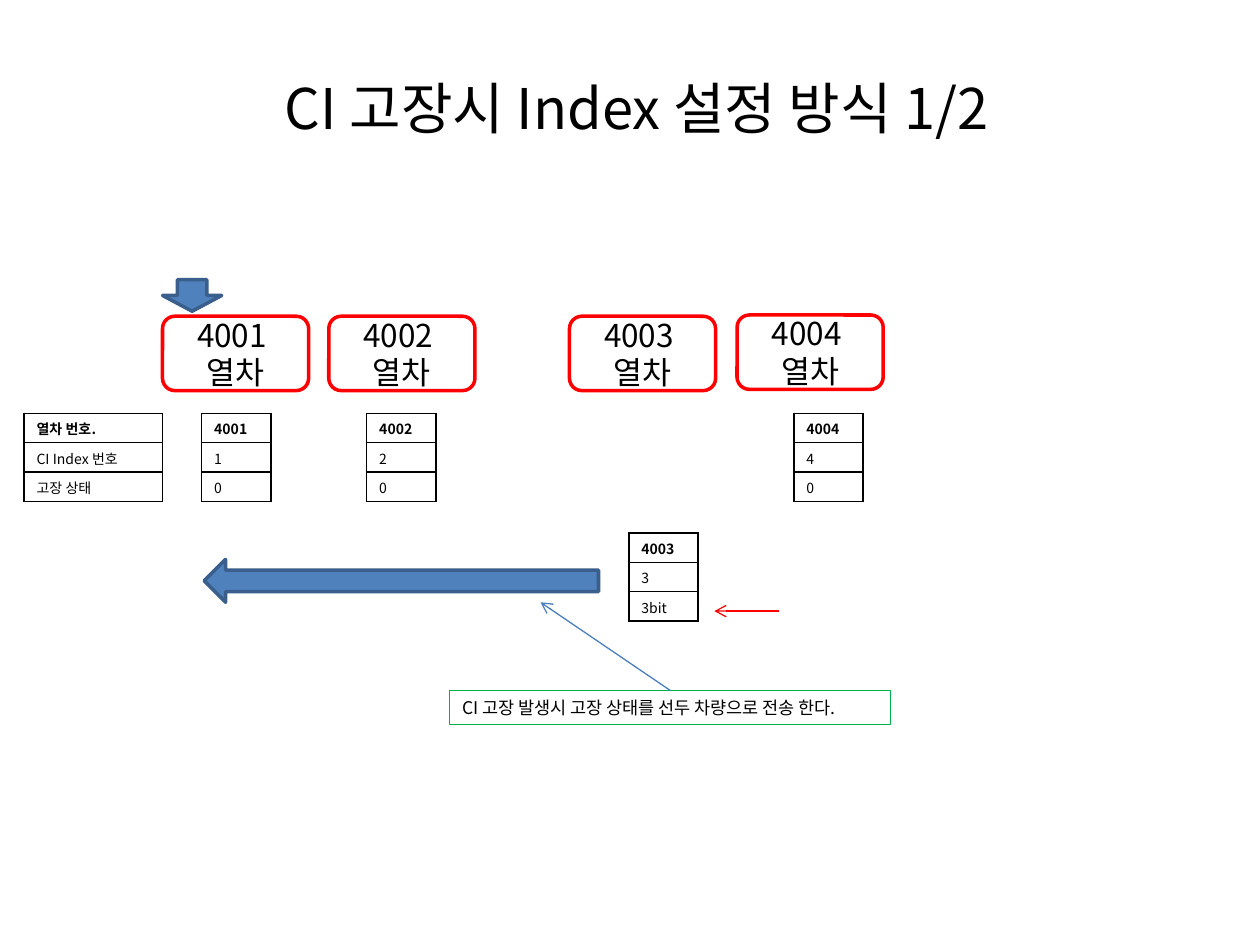
import pptx
import pptx.dml.color
import pptx.enum.shapes
import pptx.enum.text
import pptx.oxml
import pptx.oxml.ns
import pptx.util
from pptx.util import Inches

RGBColor = pptx.dml.color.RGBColor
MSO_SHAPE = pptx.enum.shapes.MSO_SHAPE
PP_ALIGN = pptx.enum.text.PP_ALIGN
MSO_ANCHOR = pptx.enum.text.MSO_ANCHOR
FIT_TEXT = pptx.enum.text.MSO_AUTO_SIZE.SHAPE_TO_FIT_TEXT

BLACK = RGBColor(0x00, 0x00, 0x00)
RED = RGBColor(0xFF, 0x00, 0x00)
GREEN = RGBColor(0x00, 0xB0, 0x50)
BLUE = RGBColor(0x4F, 0x81, 0xBD)
DARK_BLUE = RGBColor(0x3A, 0x5F, 0x8C)
LINE_BLUE = RGBColor(0x4B, 0x7E, 0xBC)
FONT = "Noto Sans CJK KR"

TRAINS = [("4001 ", 1.29, 2.51), ("4002 ", 2.61, 2.51),
          ("4003 ", 4.52, 2.51), ("4004 ", 5.85, 2.5)]
STATUS_TABLES = [
    (["열차 번호.", "CI Index 번호", "고장 상태"], 0.19, 3.28, 1.1),
    (["4001", "1", "0"], 1.6, 3.28, 0.55),
    (["4002", "2", "0"], 2.91, 3.28, 0.55),
    (["4003", "3", "3bit"], 4.99, 4.23, 0.55),
    (["4004", "4", "0"], 6.3, 3.28, 0.55),
]
TABLE_HEIGHT = 0.7


def set_attributes(target, values):
    for name, value in values.items():
        setattr(target, name, value)


def add_xml(parent, xml):
    """Append an element written with the a: prefix."""
    namespace = pptx.oxml.ns.nsdecls("a")
    parent.append(pptx.oxml.parse_xml(xml.replace(" ", f" {namespace} ", 1)))


def write_text(frame, lines, size, alignment=PP_ALIGN.LEFT, bold=False):
    for index, line in enumerate(lines):
        paragraph = frame.add_paragraph() if index else frame.paragraphs[0]
        paragraph.alignment = alignment
        run = paragraph.add_run()
        run.text = line
        set_attributes(run.font, {"name": FONT, "size": pptx.util.Pt(size), "bold": bold})
        run.font.color.rgb = BLACK
        add_xml(run.font._element, f'<a:ea typeface="{FONT}"/>')


def add_box(slide, kind, position, line_color, line_width, fill=None):
    shape = slide.shapes.add_shape(kind, *map(Inches, position))
    shape.shadow.inherit = False
    if fill is None:
        shape.fill.background()
    else:
        shape.fill.solid()
        shape.fill.fore_color.rgb = fill
    shape.line.color.rgb = line_color
    shape.line.width = pptx.util.Pt(line_width)
    return shape


def add_block_arrow(slide, position, rotation):
    arrow = add_box(slide, MSO_SHAPE.RIGHT_ARROW, position, DARK_BLUE, 2, BLUE)
    arrow.rotation = rotation


def add_train(slide, number, left, top):
    train = add_box(slide, MSO_SHAPE.ROUNDED_RECTANGLE, (left, top, 1.16, 0.59), RED, 2)
    train.text_frame.vertical_anchor = MSO_ANCHOR.MIDDLE
    write_text(train.text_frame, [number, "열차"], 18, PP_ALIGN.CENTER)


def add_line_arrow(slide, start, end, color):
    connector = slide.shapes.add_connector(
        pptx.enum.shapes.MSO_CONNECTOR.STRAIGHT, *map(Inches, start + end))
    connector.line.color.rgb = color
    connector.line.width = pptx.util.Pt(0.75)
    add_xml(connector.line._get_or_add_ln(), '<a:tailEnd type="arrow"/>')
    add_xml(connector._element.spPr, "<a:effectLst />")
    return connector


def add_cell_borders(cell):
    properties = cell._tc.get_or_add_tcPr()
    for side in ("lnL", "lnR", "lnT", "lnB"):
        add_xml(properties, f'<a:{side} w="12700"><a:solidFill>'
                            f'<a:srgbClr val="{BLACK}"/></a:solidFill></a:{side}>')


def add_status_table(slide, texts, left, top, width):
    frame = slide.shapes.add_table(
        len(texts), 1, *map(Inches, (left, top, width, TABLE_HEIGHT)))
    table = frame.table
    set_attributes(table, {"first_row": False, "horz_banding": False})
    for index, text in enumerate(texts):
        table.rows[index].height = Inches(TABLE_HEIGHT / len(texts))
        cell = table.cell(index, 0)
        set_attributes(cell, {"margin_top": Inches(0.04), "margin_bottom": Inches(0.03)})
        add_cell_borders(cell)
        cell.fill.background()
        write_text(cell.text_frame, [text], 8, bold=index == 0)


def add_title(slide, text):
    title = slide.shapes.title
    set_attributes(title, {"left": Inches(2.16), "top": Inches(0.53),
                           "width": Inches(6.31), "height": Inches(0.64)})
    set_attributes(title.text_frame, {"word_wrap": False, "auto_size": FIT_TEXT,
                                      "vertical_anchor": MSO_ANCHOR.TOP})
    write_text(title.text_frame, [text], 32)


def add_note(slide, text):
    note = add_box(slide, MSO_SHAPE.RECTANGLE, (3.57, 5.48, 3.5, 0.27), GREEN, 0.75)
    set_attributes(note.text_frame, {"word_wrap": True, "auto_size": FIT_TEXT,
                                     "vertical_anchor": MSO_ANCHOR.TOP})
    write_text(note.text_frame, [text], 10)
    return note


def main():
    presentation = pptx.Presentation()
    set_attributes(presentation, {"slide_width": Inches(10), "slide_height": Inches(7.5)})
    slide = presentation.slides.add_slide(presentation.slide_layouts[5])

    add_title(slide, "CI 고장시 Index 설정 방식 1/2")
    for train in TRAINS:
        add_train(slide, *train)
    for status_table in STATUS_TABLES:
        add_status_table(slide, *status_table)
    add_block_arrow(slide, (1.62, 4.44, 3.13, 0.34), 180)
    add_block_arrow(slide, (1.4, 2.11, 0.25, 0.47), 90)
    note = add_note(slide, "CI 고장 발생시 고장 상태를 선두 차량으로 전송 한다.")
    add_line_arrow(slide, (6.18, 4.85), (5.67, 4.85), RED)
    note_arrow = add_line_arrow(slide, (5.32, 5.48), (4.29, 4.78), LINE_BLUE)
    note_arrow.begin_connect(note, 0)

    presentation.save("out.pptx")


if __name__ == "__main__":
    main()
